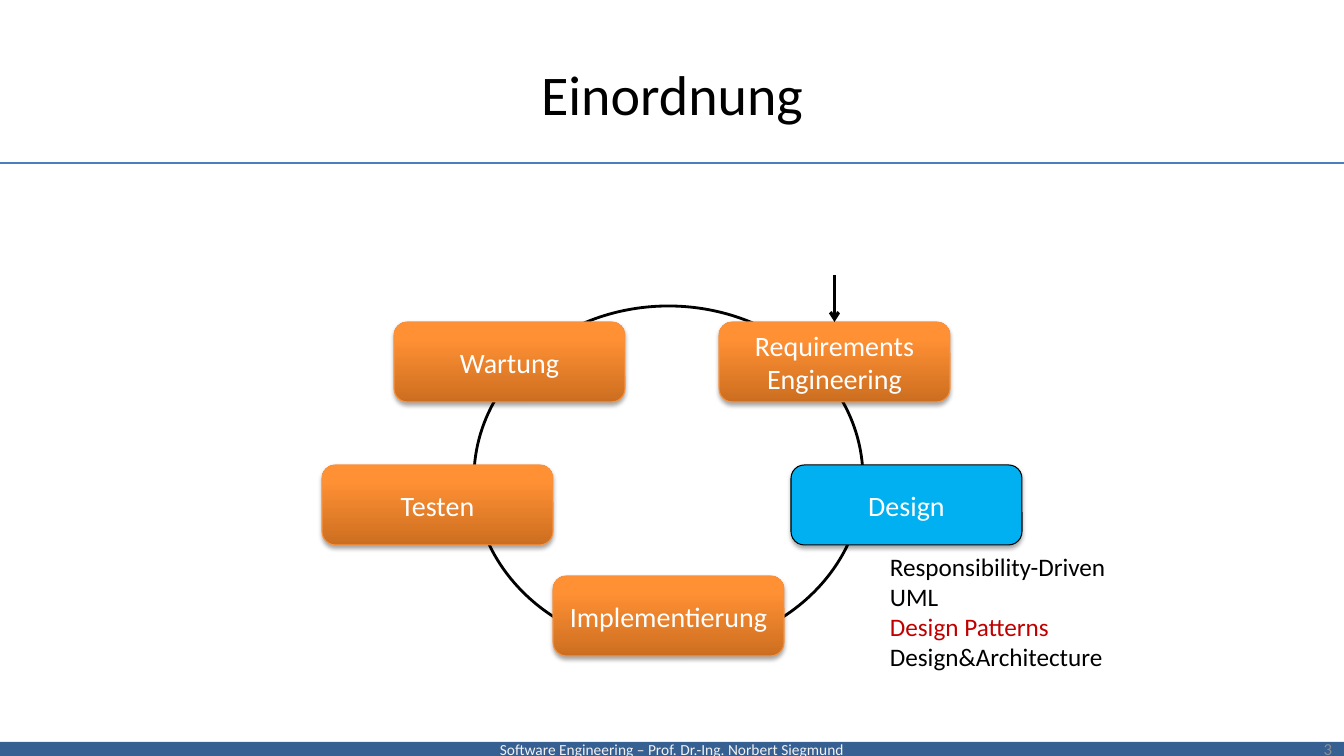
from copy import deepcopy
from dataclasses import dataclass

from lxml.etree import SubElement
from pptx import Presentation
from pptx.dml.color import RGBColor
from pptx.enum.shapes import MSO_CONNECTOR, MSO_SHAPE
from pptx.enum.text import MSO_ANCHOR, PP_ALIGN
from pptx.oxml.ns import qn
from pptx.util import Emu, Pt

PX = 914400 / 100.8
PHASE_W, PHASE_H = 231, 80


@dataclass(frozen=True)
class Theme:
    font: str = "Calibri"
    title: int = 40
    phase: int = 20
    topic: int = 18
    number: int = 12
    footer: int = 11
    black: str = "000000"
    white: str = "FFFFFF"
    footer_fill: str = "376092"
    footer_text: str = "F2F2F2"
    rule: str = "4B7EBC"
    grey: str = "8C8C8C"
    current: str = "00B0F0"
    highlight: str = "C00000"
    phase_line: str = "F69240"
    phase_stops: tuple = ((0, "CC6E20"), (0.8, "FF9034"), (1, "FF9136"))


T = Theme()


def px(*values):
    return [Emu(round(v * PX)) for v in values]


def rgb(colour):
    return RGBColor.from_string(colour)


def write(sp, lines, size, color=T.black, align=PP_ALIGN.LEFT,
          anchor=MSO_ANCHOR.MIDDLE, highlight=None):
    """Fill a shape with one paragraph per line; the highlighted line is red."""
    tf = sp.text_frame
    tf.word_wrap = True
    tf.vertical_anchor = anchor
    for i, line in enumerate(lines):
        p = tf.add_paragraph() if i else tf.paragraphs[0]
        p.alignment = align
        r = p.add_run()
        r.text = line
        r.font.name = T.font
        r.font.size = Pt(size)
        r.font.color.rgb = rgb(T.highlight if line == highlight else color)


def add_text(s, box, lines, size, **fmt):
    write(s.shapes.add_textbox(*px(*box)), lines, size, **fmt)


def add_box(s, kind, box, fill=None, line=None, width=0.75):
    sp = s.shapes.add_shape(kind, *px(*box))
    sp.shadow.inherit = False
    if fill:
        sp.fill.solid()
        sp.fill.fore_color.rgb = rgb(fill)
    else:
        sp.fill.background()
    if line:
        sp.line.color.rgb = rgb(line)
        sp.line.width = Pt(width)
    else:
        sp.line.fill.background()
    return sp


def fill_gradient(sp, stops):
    """Run the colour stops from the bottom of the shape to its top."""
    sp.fill.gradient()
    sp.fill.gradient_angle = 90
    stop_list = sp._element.spPr.find(qn("a:gradFill")).find(qn("a:gsLst"))
    while len(stop_list) < len(stops):
        stop_list.append(deepcopy(stop_list[0]))
    for stop, (position, colour) in zip(sp.fill.gradient_stops, stops):
        stop.position = position
        stop.color.rgb = rgb(colour)


def add_drop_shadow(sp):
    effects = sp._element.spPr.find(qn("a:effectLst"))
    shadow = SubElement(effects, qn("a:outerShdw"), blurRad="40000",
                        dist="23000", dir="5400000", rotWithShape="0")
    colour = SubElement(shadow, qn("a:srgbClr"), val=T.black)
    SubElement(colour, qn("a:alpha"), val="35000")


def add_phase(s, name, x, y, current=False):
    sp = add_box(s, MSO_SHAPE.ROUNDED_RECTANGLE, (x, y, PHASE_W, PHASE_H),
                 T.current, T.black if current else T.phase_line)
    if not current:
        fill_gradient(sp, T.phase_stops)
    add_drop_shadow(sp)
    write(sp, [name], T.phase, color=T.white, align=PP_ALIGN.CENTER)
    return sp


def add_line(s, ends, color, width):
    cn = s.shapes.add_connector(MSO_CONNECTOR.STRAIGHT, *px(*ends))
    cn.line.color.rgb = rgb(color)
    cn.line.width = Pt(width)
    SubElement(cn._element.spPr, qn("a:effectLst"))
    return cn


def add_entry_arrow(s, target):
    x = (target.left + target.width / 2) / PX
    cn = add_line(s, (x, 275, x, 322), T.black, 2.25)
    cn.end_connect(target, 0)
    SubElement(cn.line._get_or_add_ln(), qn("a:tailEnd"), type="arrow")


def add_frame(s):
    """Footer bar, rule, title and slide number."""
    footer = add_box(s, MSO_SHAPE.RECTANGLE, (0, 742, 1344, 14), T.footer_fill)
    footer.text_frame.margin_top = footer.text_frame.margin_bottom = 0
    write(footer, ["Software Engineering – Prof. Dr.-Ing. Norbert Siegmund"],
          T.footer, color=T.footer_text, align=PP_ALIGN.CENTER)
    add_line(s, (0, 163, 1350, 163), T.rule, 0.75)
    add_text(s, (67, 30, 1210, 126), ["Einordnung"], T.title,
             align=PP_ALIGN.CENTER)
    add_text(s, (1029, 729, 313, 40), ["3"], T.number, color=T.grey,
             align=PP_ALIGN.RIGHT)


def add_cycle(s):
    add_box(s, MSO_SHAPE.OVAL, (474, 306, 389, 344), line=T.black, width=2)
    requirements = add_phase(s, "Requirements Engineering", 719, 322)
    add_phase(s, "Design", 791, 465, current=True)
    add_phase(s, "Implementierung", 553, 576)
    add_phase(s, "Testen", 322, 465)
    add_phase(s, "Wartung", 394, 322)
    add_entry_arrow(s, requirements)


def main():
    prs = Presentation()
    prs.slide_width, prs.slide_height = px(1344, 756)
    s = prs.slides.add_slide(prs.slide_layouts[6])
    add_frame(s)
    add_cycle(s)
    topics = ["Responsibility-Driven", "UML", "Design Patterns",
              "Design&Architecture"]
    add_text(s, (880, 546, 244, 132), topics, T.topic,
             anchor=MSO_ANCHOR.TOP, highlight="Design Patterns")
    prs.save("out.pptx")


if __name__ == "__main__":
    main()
